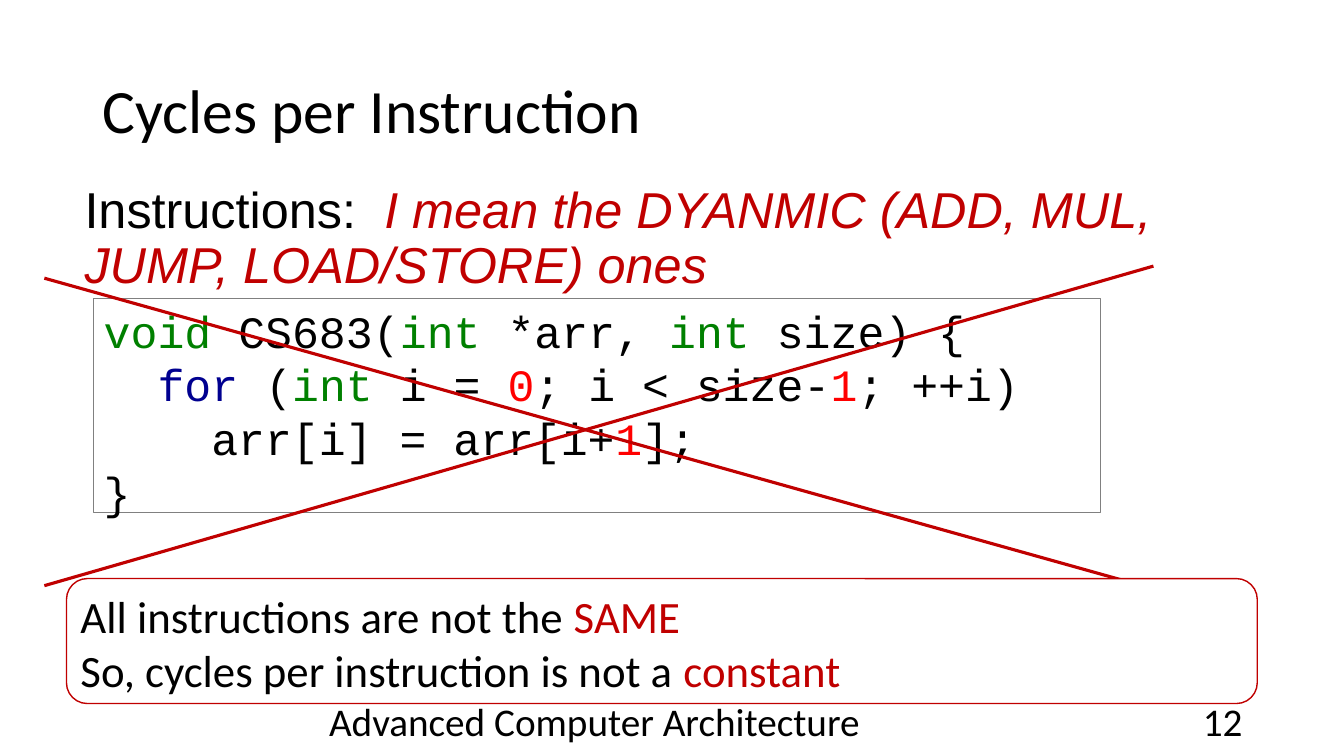
from lxml.etree import SubElement
from pptx import Presentation
from pptx.dml.color import RGBColor
from pptx.enum.shapes import MSO_CONNECTOR as Connector, MSO_SHAPE as Shape
from pptx.enum.text import MSO_ANCHOR as Anchor, PP_ALIGN as Align
from pptx.oxml.ns import qn
from pptx.util import Inches, Pt

BLACK = RGBColor(0, 0, 0)
WHITE = RGBColor(255, 255, 255)
GRAY = RGBColor(128, 128, 128)
CRIMSON = RGBColor(192, 0, 0)
RED = RGBColor(255, 0, 0)
GREEN = RGBColor(0, 128, 0)
NAVY = RGBColor(0, 0, 144)

TITLE = [[("Cycles per Instruction", BLACK)]]
FOOTER = [[("Advanced Computer Architecture", BLACK)]]
NUMBER = [[("12", BLACK)]]
INTRO = [[("Instructions:  ", BLACK), ("I mean the DYANMIC (ADD, MUL, JUMP, LOAD/STORE) ones", CRIMSON)]]
CODE = [
    [("void ", GREEN), ("CS683(", BLACK), ("int ", GREEN), ("*arr, ", BLACK), ("int ", GREEN), ("size) {", BLACK)],
    [("  for ", NAVY), ("(", BLACK), ("int ", GREEN), ("i = ", BLACK), ("0", RED),
     ("; i < size-", BLACK), ("1", RED), ("; ++i)", BLACK)],
    [("    arr[i] = arr[i+", BLACK), ("1", RED), ("];", BLACK)],
    [("}", BLACK)],
]
CONCLUSION = [
    [("All instructions are not the ", BLACK), ("SAME", CRIMSON)],
    [("So, cycles per instruction is not a ", BLACK), ("constant", CRIMSON)],
]

TITLE_AREA = (6.9, 5.33, 86.27, 19.33)
FOOTER_AREA = (21.53, 92.67, 45.39, 5.33)
NUMBER_AREA = (70.67, 92.67, 22.51, 5.33)
INTRO_AREA = (5.55, 23.87, 86.27, 49.73)
CODE_AREA = (6.98, 39.47, 74.94, 28.27)
CALLOUT_AREA = (4.95, 76.53, 88.6, 16.53)
CONCLUSION_AREA = (5.25, 77.2, 87.7, 15.73)
CROSS = [(3.3, 77.47, 85.82, 35.2), (3.3, 36.8, 89.8, 79.87)]

presentation = Presentation()
presentation.slide_width, presentation.slide_height = Inches(13.33), Inches(7.5)
slide = presentation.slides.add_slide(presentation.slide_layouts[6])


def place(shares):
    sides = (presentation.slide_width, presentation.slide_height) * 2
    return [round(side * share / 100) for side, share in zip(sides, shares)]


def write(shape, lines, size, font, anchor=Anchor.TOP, align=Align.LEFT, spacing=1.0):
    frame = shape.text_frame
    frame.word_wrap = True
    frame.vertical_anchor = anchor
    for index, line in enumerate(lines):
        paragraph = frame.add_paragraph() if index else frame.paragraphs[0]
        paragraph.alignment = align
        paragraph.line_spacing = spacing
        for text, color in line:
            run = paragraph.add_run()
            run.text = text
            run.font.name = font
            run.font.size = Pt(size)
            run.font.color.rgb = color


def add_text(area, *content, **layout):
    box = slide.shapes.add_textbox(*place(area))
    write(box, *content, **layout)
    return box


def add_box(kind, area, color, width):
    shape = slide.shapes.add_shape(kind, *place(area))
    shape.shadow.inherit = False
    shape.line.color.rgb = color
    shape.line.width = Pt(width)
    return shape


add_text(TITLE_AREA, TITLE, 44, "Calibri", anchor=Anchor.MIDDLE, spacing=0.9)
add_text(FOOTER_AREA, FOOTER, 28, "Calibri", anchor=Anchor.MIDDLE, align=Align.CENTER)
add_text(NUMBER_AREA, NUMBER, 28, "Calibri", anchor=Anchor.MIDDLE, align=Align.RIGHT)
intro = add_text(INTRO_AREA, INTRO, 36, "Arial", spacing=0.9)
intro.text_frame.paragraphs[0].runs[1].font.italic = True

code_box = add_box(Shape.RECTANGLE, CODE_AREA, GRAY, 0.75)
code_box.fill.background()
write(code_box, CODE, 32, "Courier New")

for ends in CROSS:
    stroke = slide.shapes.add_connector(Connector.STRAIGHT, *place(ends))
    stroke.line.color.rgb = CRIMSON
    stroke.line.width = Pt(2.25)
    SubElement(stroke.element.spPr, qn("a:effectLst"))

callout = add_box(Shape.ROUNDED_RECTANGLE, CALLOUT_AREA, CRIMSON, 1)
callout.fill.solid()
callout.fill.fore_color.rgb = WHITE
add_text(CONCLUSION_AREA, CONCLUSION, 32, "Calibri")

presentation.save("out.pptx")
